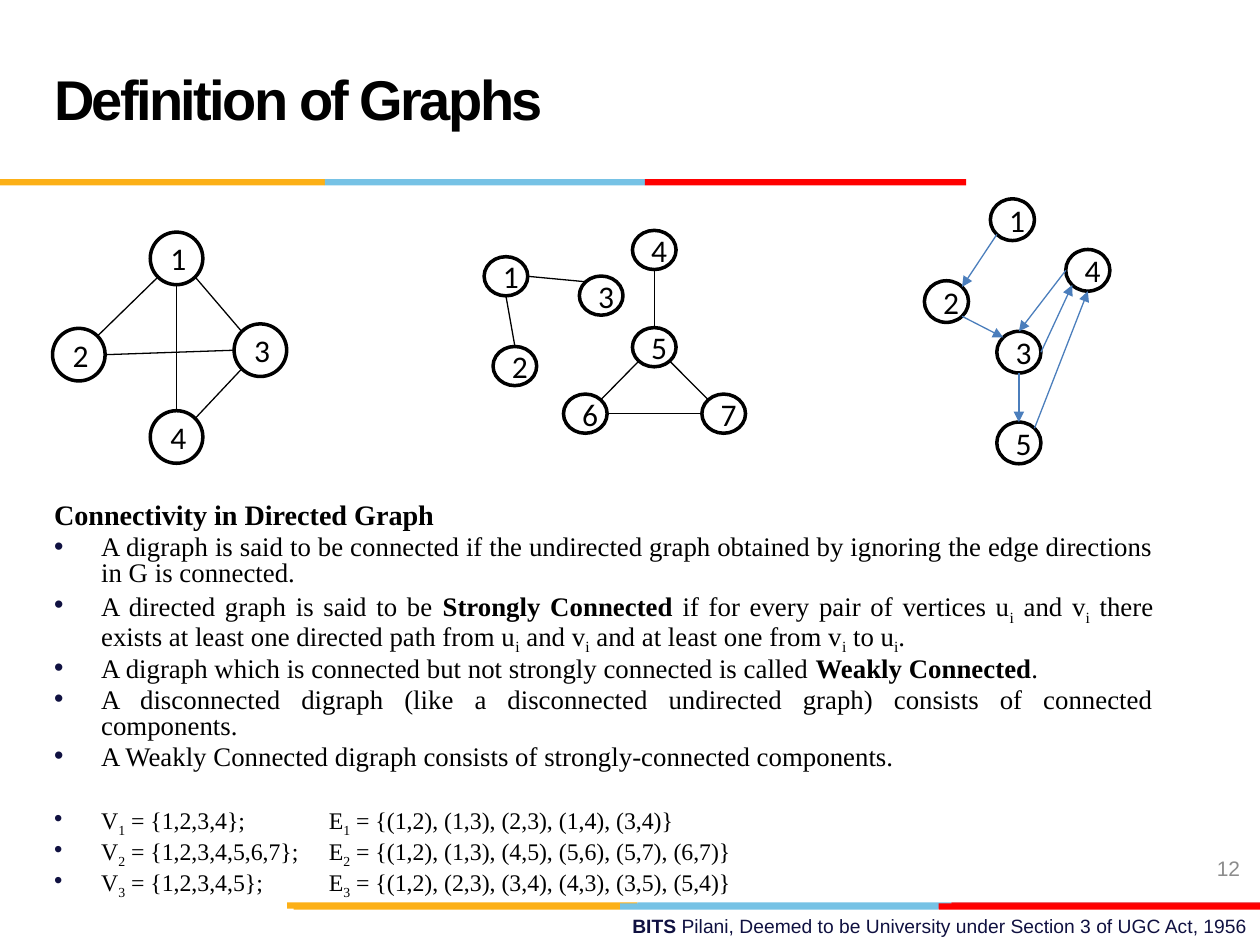
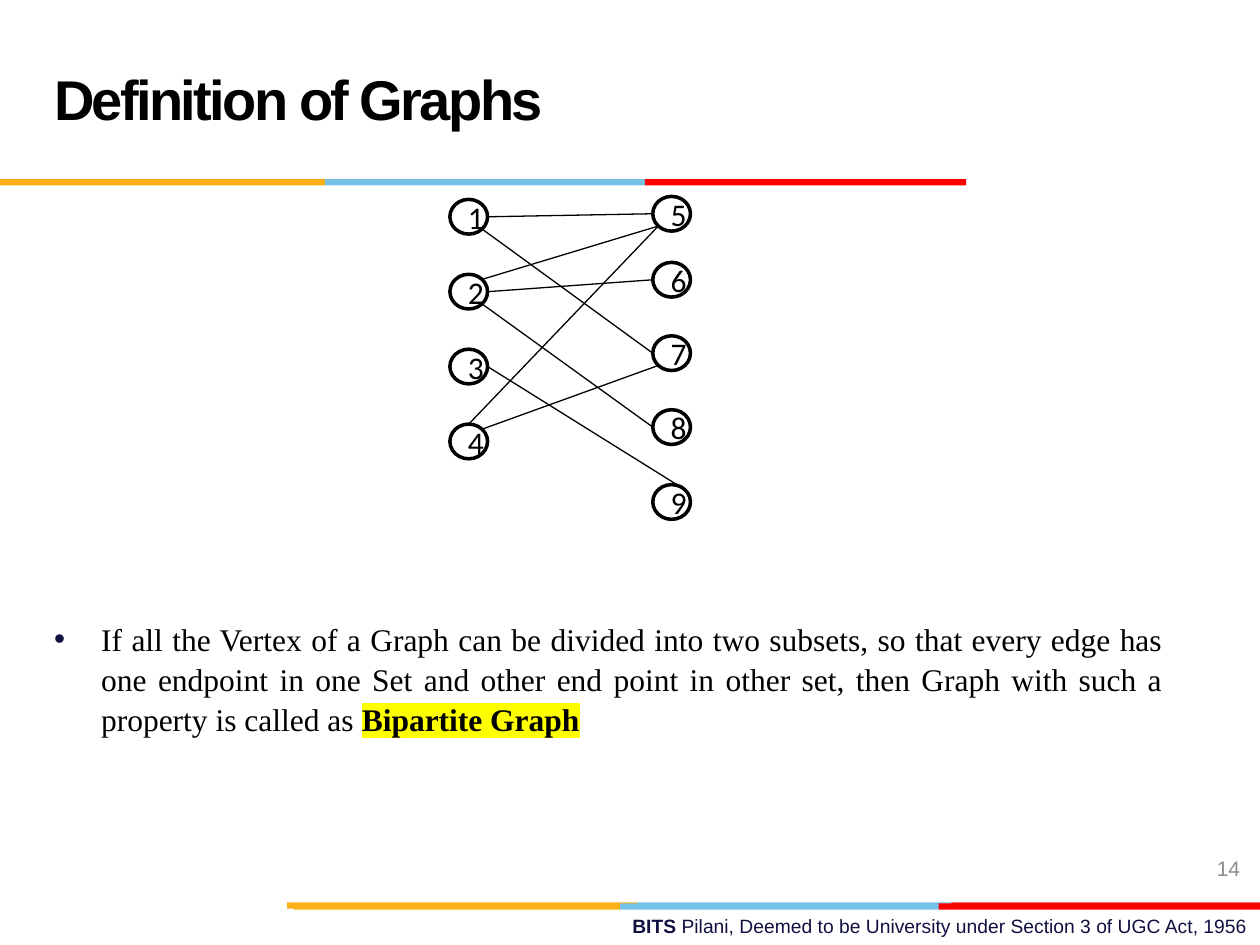
from math import sqrt

from lxml import etree
from pptx import Presentation
from pptx.dml.color import RGBColor
from pptx.enum import shapes, text
from pptx.oxml import ns
from pptx.util import Cm, Pt

BLACK, WHITE, NAVY, GREY = "000000", "FFFFFF", "101141", "8C8C8C"
YELLOW, SKY, RED, DARK_RED = "FCB017", "76C2E5", "FF0000", "E31C24"
EDGE_BLUE, HIGHLIGHT = "4B7EBC", "FFFF00"
ALIGN, ANCHOR = text.PP_ALIGN, text.MSO_ANCHOR

# Directions from a node's centre to the points where edges meet its outline
DIAGONAL = sqrt(0.5)
SITES = {
    "N": (0, -1), "S": (0, 1), "W": (-1, 0), "E": (1, 0),
    "NW": (-DIAGONAL, -DIAGONAL), "NE": (DIAGONAL, -DIAGONAL),
    "SW": (-DIAGONAL, DIAGONAL), "SE": (DIAGONAL, DIAGONAL),
}

# Node centres in cm; edges name a node and a site at each end
UNDIRECTED_NODES = {1: (3.56, 5.21), 2: (1.59, 7.15), 3: (5.25, 7.06), 4: (3.56, 8.81)}
UNDIRECTED_EDGES = [(1, "S", 4, "N"), (2, "E", 3, "W"), (2, "NE", 1, "SW"),
                    (3, "NW", 1, "SE"), (3, "SW", 4, "NE")]
DISCONNECTED_NODES = {1: (10.2, 5.57), 2: (10.38, 7.38), 3: (12.12, 5.96), 4: (13.19, 5.04),
                      5: (13.19, 7), 6: (11.8, 8.34), 7: (14.59, 8.34)}
DISCONNECTED_EDGES = [(2, "N", 1, "S"), (3, "NW", 1, "E"), (6, "NE", 5, "SW"),
                      (7, "NW", 5, "SE"), (5, "N", 4, "S"), (7, "W", 6, "E")]
DIRECTED_NODES = {1: (20.41, 4.43), 2: (19.08, 6.08), 3: (20.54, 7.1), 4: (21.93, 5.45),
                  5: (20.54, 8.93)}
DIRECTED_EDGES = [(1, "SW", 2, "NE"), (2, "SE", 3, "NW"), (4, "W", 3, "N"),
                  (3, "E", 4, "SW"), (3, "S", 5, "N"), (5, "NE", 4, "S")]
LEFT_SET = {node: (9.45, 4.37 + 1.51 * row) for row, node in enumerate(range(1, 5))}
RIGHT_SET = {node: (13.54, y) for node, y in zip(range(5, 10), (4.31, 5.64, 7.12, 8.61, 10.12))}
BIPARTITE_EDGES = [(1, "SE", 7, "W"), (2, "E", 6, "W"), (5, "W", 1, "E"),
                   (4, "N", 5, "SW"), (2, "NE", 5, "SW"), (7, "SW", 4, "NE"),
                   (9, "NE", 3, "E"), (8, "W", 2, "SE")]

# *bold* and ~subscript~
CONNECTIVITY = [
    "A digraph is said to be connected if the undirected graph obtained by ignoring "
    "the edge directions in G is connected.",
    "A directed graph is said to be *Strongly Connected* if for every pair of vertices "
    "u~i~ and v~i~ there exists at least one directed path from u~i~ and v~i~ and at "
    "least one from v~i~ to u~i~.",
    "A digraph which is connected but not strongly connected is called *Weakly Connected*.",
    "A disconnected digraph (like a disconnected undirected graph) consists of "
    "connected components.",
    "A Weakly Connected digraph consists of strongly-connected components.",
]
GRAPH_SETS = [
    "V~1~ = {1,2,3,4};\tE~1~ = {(1,2), (1,3), (2,3), (1,4), (3,4)}",
    "V~2~ = {1,2,3,4,5,6,7};\tE~2~ = {(1,2), (1,3), (4,5), (5,6), (5,7), (6,7)}",
    "V~3~ = {1,2,3,4,5};\tE~3~ = {(1,2), (2,3), (3,4), (4,3), (3,5), (5,4)}",
]


def rgb(colour):
    return RGBColor.from_string(colour)


def add_element(parent, tag, **attributes):
    return etree.SubElement(parent, ns.qn(tag), **attributes)


def add_bullet(paragraph, tab=None):
    properties = paragraph._p.get_or_add_pPr()
    properties.set("marL", str(Cm(0.95)))
    properties.set("indent", str(-Cm(0.95)))
    add_element(add_element(properties, "a:buClr"), "a:srgbClr", val=NAVY)
    add_element(properties, "a:buFont", typeface="Arial")
    add_element(properties, "a:buChar", char="•")
    if tab:
        add_element(add_element(properties, "a:tabLst"), "a:tab", pos=str(Cm(tab)), algn="l")


def write(paragraph, marked, size, font="Arial", colour=BLACK, align=ALIGN.LEFT, bold=False,
          spacing=None, before=None, bullet=False, tab=None, tracking=None, highlight=None):
    """Fill a paragraph; *...* is bold (and highlighted if asked), ~...~ subscript."""
    if bullet:
        add_bullet(paragraph, tab)
    paragraph.alignment = align
    if spacing:
        paragraph.line_spacing = spacing
    if before:
        paragraph.space_before = Pt(before)
    for bold_index, part in enumerate(marked.split("*")):
        for sub_index, words in enumerate(part.split("~")):
            if not words:
                continue
            run = paragraph.add_run()
            run.text = words
            run.font.size = Pt(size)
            run.font.name = font
            run.font.bold = bold or bold_index % 2 == 1
            run.font.color.rgb = rgb(colour)
            properties = run._r.get_or_add_rPr()
            if sub_index % 2:
                properties.set("baseline", "-25000")
            if tracking:
                properties.set("spc", str(int(tracking * 100)))
            if highlight and bold_index % 2:
                mark = etree.Element(ns.qn("a:highlight"))
                add_element(mark, "a:srgbClr", val=highlight)
                properties.find(ns.qn("a:solidFill")).addnext(mark)


def add_text_frame(slide, left, top, width, height, anchor=ANCHOR.TOP):
    box = slide.shapes.add_textbox(Cm(left), Cm(top), Cm(width), Cm(height))
    box.text_frame.word_wrap = True
    box.text_frame.vertical_anchor = anchor
    return box.text_frame


def add_filled_shape(slide, kind, left, top, width, height, fill):
    shape = slide.shapes.add_shape(kind, Cm(left), Cm(top), Cm(width), Cm(height))
    shape.shadow.inherit = False
    shape.fill.solid()
    shape.fill.fore_color.rgb = rgb(fill)
    return shape


def add_band(slide, top, stops, colours):
    """Draw one coloured bar between each pair of neighbouring stops."""
    for left, right, colour in zip(stops, stops[1:], colours):
        bar = add_filled_shape(slide, shapes.MSO_SHAPE.RECTANGLE,
                               left, top, right - left, 0.13, colour)
        bar.line.fill.background()


def add_node(slide, label, centre, size):
    (x, y), (width, height) = centre, size
    node = add_filled_shape(slide, shapes.MSO_SHAPE.OVAL,
                            x - width / 2, y - height / 2, width, height, WHITE)
    node.line.color.rgb = rgb(BLACK)
    node.line.width = Pt(2)
    write(node.text_frame.paragraphs[0], str(label), 18, font="Calibri", align=ALIGN.CENTER)


def add_edge(slide, start, end, colour, arrow):
    edge = slide.shapes.add_connector(shapes.MSO_CONNECTOR.STRAIGHT,
                                      *(Cm(value) for value in start + end))
    edge.line.color.rgb = rgb(colour)
    edge.line.width = Pt(0.75)
    if arrow:
        add_element(edge.line._get_or_add_ln(), "a:tailEnd", type="triangle")
    add_element(edge._element.spPr, "a:effectLst")


def add_graph(slide, nodes, edges, size, colour=BLACK, directed=False):
    def site_point(node, site):
        return tuple(centre + step * length / 2
                     for centre, step, length in zip(nodes[node], SITES[site], size))

    for label, centre in nodes.items():
        add_node(slide, label, centre, size)
    for start, start_site, end, end_site in edges:
        add_edge(slide, site_point(start, start_site), site_point(end, end_site),
                 colour, directed)


def add_base_slide(presentation, title, number):
    """Add a slide with the shared bands, title, number and footer."""
    slide = presentation.slides.add_slide(presentation.slide_layouts[6])
    footer = add_text_frame(slide, 9.09, 18.31, 16.31, 0.74)
    write(footer.paragraphs[0],
          "*BITS* Pilani, Deemed to be University under Section 3 of UGC Act, 1956",
          11, colour=NAVY, align=ALIGN.RIGHT)
    add_band(slide, 18.19, (5.79, 12.85, 19.18, 25.4), (YELLOW, SKY, DARK_RED))
    add_band(slide, 18.21, (5.92, 12.5, 18.92, 25.4), (YELLOW, SKY, RED))
    add_band(slide, 3.61, (0, 6.55, 13, 19.48), (YELLOW, SKY, RED))
    heading = add_text_frame(slide, 0.84, 0.43, 20.12, 3.18, ANCHOR.MIDDLE)
    write(heading.paragraphs[0], title, 32, bold=True, spacing=Pt(36), tracking=-1.5)
    page = add_text_frame(slide, 19.33, 16.99, 5.92, 1.02, ANCHOR.MIDDLE)
    write(page.paragraphs[0], str(number), 12, colour=GREY, align=ALIGN.RIGHT)
    return slide


def add_connectivity_slide(presentation):
    slide = add_base_slide(presentation, "Definition of Graphs", 12)
    add_graph(slide, UNDIRECTED_NODES, UNDIRECTED_EDGES, (1.06, 1.06))
    add_graph(slide, DISCONNECTED_NODES, DISCONNECTED_EDGES, (0.88, 0.79))
    add_graph(slide, DIRECTED_NODES, DIRECTED_EDGES, (0.89, 0.84), EDGE_BLUE, directed=True)
    frame = add_text_frame(slide, 0.84, 10.03, 22.66, 7.82)
    body = {"font": "Times New Roman", "align": ALIGN.JUSTIFY, "spacing": 0.8}
    write(frame.paragraphs[0], "Connectivity in Directed Graph", 16.1, bold=True, **body)
    for line in CONNECTIVITY:
        write(frame.add_paragraph(), line, 15.3, before=3.2, bullet=True, **body)
    for index, line in enumerate(GRAPH_SETS):
        write(frame.add_paragraph(), line, 13.6, before=3 if index else 21,
              bullet=True, tab=5.54, **body)


def add_bipartite_slide(presentation):
    slide = add_base_slide(presentation, "Definition of Graphs", 14)
    add_graph(slide, {**LEFT_SET, **RIGHT_SET}, BIPARTITE_EDGES, (0.76, 0.7))
    frame = add_text_frame(slide, 0.84, 12.34, 22.86, 4.72)
    write(frame.paragraphs[0],
          "If all the Vertex of a Graph can be divided into two subsets, so that every edge "
          "has one endpoint in one Set and other end point in other set, then Graph with "
          "such a property is called as *Bipartite Graph*",
          18, font="Times New Roman", align=ALIGN.JUSTIFY, spacing=1.05, bullet=True,
          highlight=HIGHLIGHT)


def main():
    presentation = Presentation()
    presentation.slide_width, presentation.slide_height = Cm(25.4), Cm(19.05)
    add_connectivity_slide(presentation)
    add_bipartite_slide(presentation)
    presentation.save("out.pptx")


if __name__ == "__main__":
    main()
